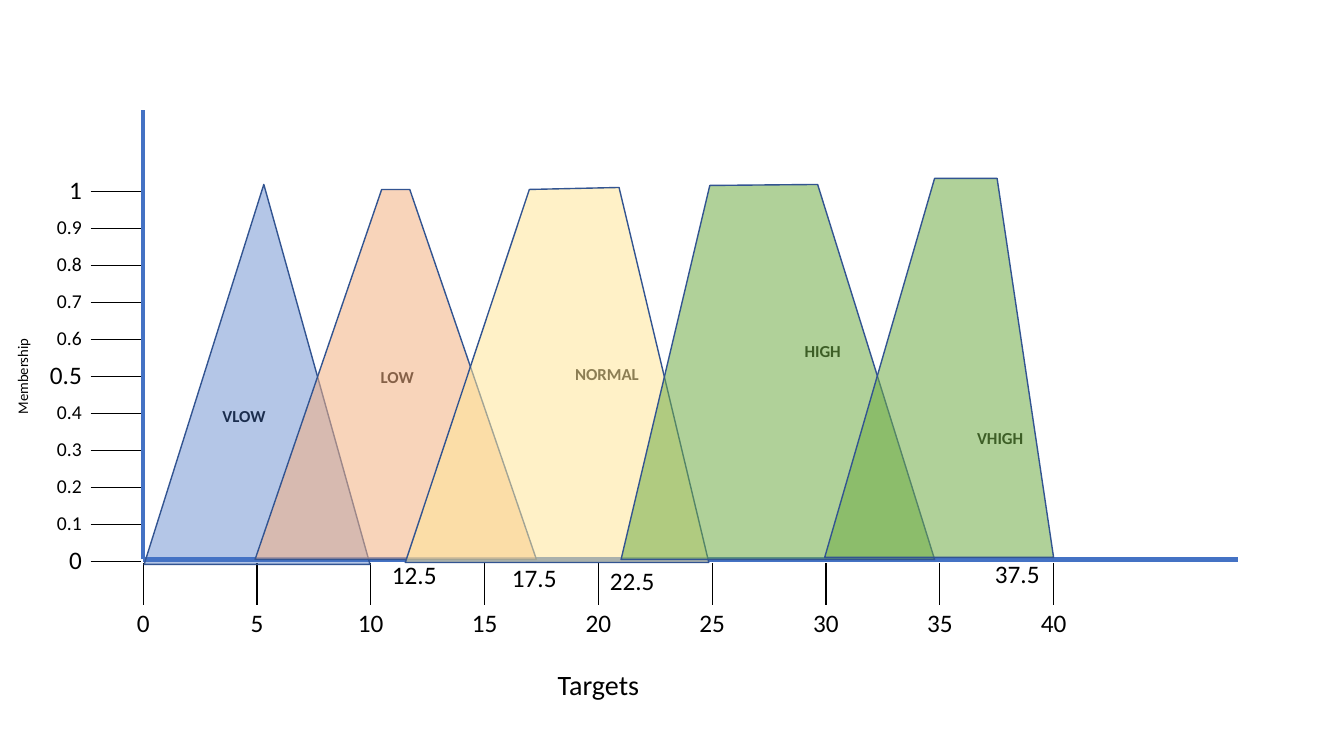
from collections import namedtuple
from pptx import Presentation
from pptx.dml.color import RGBColor
from pptx.enum.shapes import MSO_CONNECTOR, MSO_SHAPE
from pptx.enum.text import MSO_ANCHOR, PP_ALIGN
from pptx.oxml import parse_xml
from pptx.oxml.ns import nsdecls, qn
from pptx.util import Inches, Pt

BLUE = RGBColor(0x44, 0x72, 0xC4)
OUTLINE = RGBColor(0x32, 0x54, 0x91)
ORANGE = RGBColor(0xF4, 0xB1, 0x83)
YELLOW = RGBColor(0xFF, 0xE6, 0x99)
GREEN = RGBColor(0x70, 0xAD, 0x47)
BLACK = RGBColor(0, 0, 0)
WHITE = RGBColor(0xFF, 0xFF, 0xFF)
FONT = "Calibri"

Box = namedtuple("Box", "left top width height")
PLOT = Box(1.42, 1.9, 9.03, 3.67)
BASELINE = 3.65

SET_NAMES = [("VLOW", 1.0, 2.23), ("LOW", 2.52, 1.84), ("NORMAL", 4.6, 1.81),
             ("HIGH", 6.74, 1.58), ("VHIGH", 8.5, 2.44)]
PRESET_SETS = [
    (MSO_SHAPE.ISOSCELES_TRIANGLE, 0.53, Box(0.01, -0.07, 2.24, 3.77), BLUE, 40),
    (MSO_SHAPE.TRAPEZOID, 0.45, Box(1.11, -0.02, 2.79, 3.67), ORANGE, 55),
]
OUTLINED_SETS = [
    ([(2.6, 3.68), (3.83, -0.02), (4.72, -0.04), (5.61, 3.68)], YELLOW),
    ([(4.74, 3.65), (5.62, -0.06), (6.69, -0.07), (7.85, 3.65)], GREEN),
    ([(6.76, 3.63), (7.85, -0.13), (8.47, -0.13), (9.03, 3.63)], GREEN),
]
BREAKPOINTS = [("12.5", 2.69, 3.8), ("17.5", 3.88, 3.83),
               ("22.5", 4.85, 3.86), ("37.5", 8.67, 3.79)]


def add_label(page, box, text, x, y, size, width=0.8, bold=False, align=PP_ALIGN.CENTER):
    """Write one line of text centred on a point measured from the box corner."""
    height = 0.4
    label = page.shapes.add_textbox(Inches(box.left + x - width / 2),
                                    Inches(box.top + y - height / 2),
                                    Inches(width), Inches(height))
    frame = label.text_frame
    frame.word_wrap = True
    frame.vertical_anchor = MSO_ANCHOR.MIDDLE
    para = frame.paragraphs[0]
    para.text = text
    para.alignment = align
    para.font.name = FONT
    para.font.size = Pt(size)
    para.font.bold = bold
    para.font.color.rgb = BLACK
    return label


def add_axis(page, box, end_x, end_y):
    """Draw an axis from the plot's zero point."""
    axis = page.shapes.add_connector(
        MSO_CONNECTOR.STRAIGHT, Inches(box.left), Inches(box.top + BASELINE),
        Inches(box.left + end_x), Inches(box.top + end_y))
    axis.line.color.rgb = BLUE
    axis.line.width = Pt(3)
    axis._element.spPr.append(parse_xml(f"<a:effectLst {nsdecls('a')}/>"))


def add_ticks(page, box, rows, columns, ruled_sides):
    """Draw tick marks as a table ruled only on the given sides."""
    frame = page.shapes.add_table(rows, columns, Inches(box.left), Inches(box.top),
                                  Inches(box.width), Inches(box.height))
    table = frame.table
    table.first_row = table.horz_banding = False
    for cell in table.iter_cells():
        cell.margin_left = cell.margin_right = cell.margin_top = cell.margin_bottom = 0
        cell.text_frame.paragraphs[0].font.size = Pt(10)
        properties = cell._tc.get_or_add_tcPr()
        for side in "LRTB":
            paint = (f'<a:solidFill><a:srgbClr val="{BLACK}"/></a:solidFill>'
                     if side in ruled_sides else "<a:noFill/>")
            properties.append(parse_xml(
                f'<a:ln{side} {nsdecls("a")} w="12700">{paint}</a:ln{side}>'))
        cell.fill.solid()
        cell.fill.fore_color.rgb = WHITE


def add_target_axis(page, box):
    """Draw the horizontal axis with its ticks, values and title."""
    steps = 8
    add_axis(page, box, 10.86, BASELINE)
    add_ticks(page, Box(box.left, box.top + 3.69, box.width, 0.41), 1, steps, "LR")
    for step in range(steps + 1):
        add_label(page, box, str(step * 5), step * box.width / steps, 4.28, 18)
    add_label(page, box, "Targets", box.width / 2, 4.89, 20, box.width)


def add_membership_axis(page, box):
    """Draw the vertical axis with its ticks, values and title."""
    steps = 10
    add_axis(page, box, 0, -0.81)
    add_ticks(page, Box(box.left - 0.52, box.top, 0.5, box.height), steps, 1, "TB")
    for step in range(steps + 1):
        add_label(page, box, f"{step / steps:g}", -0.91,
                  BASELINE - step * box.height / steps,
                  14 if step % 5 else 18, align=PP_ALIGN.RIGHT)
    title = add_label(page, box, "Membership", -1.2, box.height / 2, 10.5, box.height)
    title.rotation = 270


def style_set(shape, color, opacity):
    """Give a fuzzy set its see-through fill and thin outline."""
    shape.shadow.inherit = False
    shape.fill.solid()
    shape.fill.fore_color.rgb = color
    tint = shape._element.spPr.find(qn("a:solidFill"))[0]
    tint.append(parse_xml(f'<a:alpha {nsdecls("a")} val="{opacity * 1000}"/>'))
    shape.line.color.rgb = OUTLINE
    shape.line.width = Pt(1)


def add_fuzzy_sets(page, box):
    """Draw the five membership functions with their names and breakpoints."""
    for name, x, y in SET_NAMES:
        add_label(page, box, name, x, y, 12, 1, bold=True)
    for kind, adjustment, place, color, opacity in PRESET_SETS:
        shape = page.shapes.add_shape(
            kind, Inches(box.left + place.left), Inches(box.top + place.top),
            Inches(place.width), Inches(place.height))
        shape.adjustments[0] = adjustment
        style_set(shape, color, opacity)
    for corners, color in OUTLINED_SETS:
        points = [(Inches(box.left + x), Inches(box.top + y)) for x, y in corners]
        builder = page.shapes.build_freeform(*points[0])
        builder.add_line_segments(points[1:], close=True)
        style_set(builder.convert_to_shape(), color, 55)
    for value, x, y in BREAKPOINTS:
        add_label(page, box, value, x, y, 18)


def main():
    """Build and save the fuzzy membership slide."""
    deck = Presentation()
    deck.slide_width = Inches(13.33)
    deck.slide_height = Inches(7.5)
    page = deck.slides.add_slide(deck.slide_layouts[6])
    add_membership_axis(page, PLOT)
    add_target_axis(page, PLOT)
    add_fuzzy_sets(page, PLOT)
    deck.save("out.pptx")


main()
